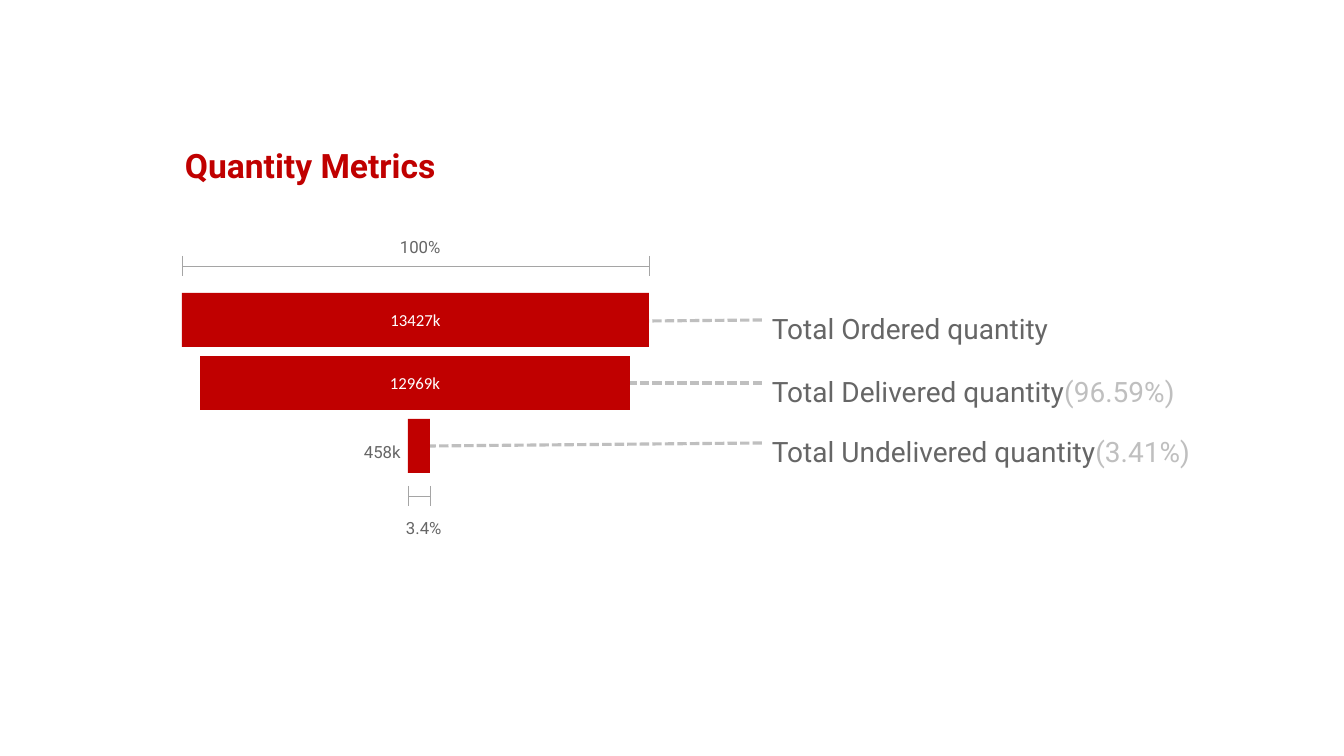
"""Build the Quantity Metrics funnel slide."""
import pptx
import pptx.util
import pptx.dml.color
import pptx.enum.dml
import pptx.enum.shapes
import pptx.enum.text
import pptx.oxml.ns
import lxml.etree

PIXEL = 914400 / 100.8
RED = pptx.dml.color.RGBColor(0xC0, 0x00, 0x00)
WHITE = pptx.dml.color.RGBColor(0xFF, 0xFF, 0xFF)
TEXT_GREY = pptx.dml.color.RGBColor(0x66, 0x66, 0x66)
SHARE_GREY = pptx.dml.color.RGBColor(0xBF, 0xBF, 0xBF)
BRACKET_GREY = pptx.dml.color.RGBColor(0xA5, 0xA5, 0xA5)

deck = pptx.Presentation()
deck.slide_width = round(1344 * PIXEL)
deck.slide_height = round(756 * PIXEL)
page = deck.slides.add_slide(deck.slide_layouts[6])


def add_line(parent, ends, color, width, dash=None):
    line = parent.add_connector(pptx.enum.shapes.MSO_CONNECTOR.STRAIGHT,
                                *[round(value * PIXEL) for value in ends])
    line.line.color.rgb = color
    line.line.width = pptx.util.Pt(width)
    if dash:
        line.line.dash_style = dash
    lxml.etree.SubElement(line._element.spPr, pptx.oxml.ns.qn("a:effectLst"))


def add_text(area, spans, size, spacing=1.5, bold=False):
    box = page.shapes.add_textbox(*[round(value * PIXEL) for value in area])
    box.text_frame.word_wrap = True
    para = box.text_frame.paragraphs[0]
    para.line_spacing = spacing
    para.space_before = pptx.util.Pt(10)
    for text, color in spans:
        span = para.add_run()
        span.text = text
        span.font.name = "Roboto"
        span.font.size = pptx.util.Pt(size)
        span.font.bold = bold
        span.font.color.rgb = color


add_text((175, 145, 297, 60), [("Quantity Metrics", RED)], 24, 0.9, True)

stages = [
    (182, 467, "13427k", "Total Ordered quantity", "", 290, 321),
    (200, 430, "12969k", "Total Delivered quantity", "(96.59%)", 353, 383),
    (408, 22, "", "Total Undelivered quantity", "(3.41%)", 413, 446),
]
for row, (left, width, amount, label, share, label_top, leader_y) in enumerate(stages):
    add_line(page.shapes, (762, label_top + 30, left + width, leader_y), SHARE_GREY, 2.25,
             pptx.enum.dml.MSO_LINE.SQUARE_DOT)
    spans = [(label, TEXT_GREY)]
    if share:
        spans.append((share, SHARE_GREY))
    add_text((762, label_top, 457, 60), spans, 20)

    bar_area = (left, 293 + 63 * row, width, 54)
    bar = page.shapes.add_shape(pptx.enum.shapes.MSO_SHAPE.RECTANGLE,
                                *[round(value * PIXEL) for value in bar_area])
    bar.shadow.inherit = False
    bar.fill.solid()
    bar.fill.fore_color.rgb = RED
    bar.line.fill.background()
    if amount:
        bar.text_frame.vertical_anchor = pptx.enum.text.MSO_ANCHOR.MIDDLE
        para = bar.text_frame.paragraphs[0]
        para.alignment = pptx.enum.text.PP_ALIGN.CENTER
        span = para.add_run()
        span.text = amount
        span.font.name = "Calibri"
        span.font.size = pptx.util.Pt(12)
        span.font.color.rgb = WHITE

for left, right, middle in [(182, 649, 266), (408, 430, 496)]:
    bracket = page.shapes.add_group_shape()
    add_line(bracket.shapes, (right, middle, left, middle), BRACKET_GREY, 0.25)
    for end in (left, right):
        add_line(bracket.shapes, (end, middle - 10, end, middle + 10), BRACKET_GREY, 0.25)

for left, top, caption in [(354, 427, "458k"), (390, 222, "100%"), (396, 503, "3.4%")]:
    add_text((left, top, 64, 39), [(caption, TEXT_GREY)], 12)

deck.save("out.pptx")
